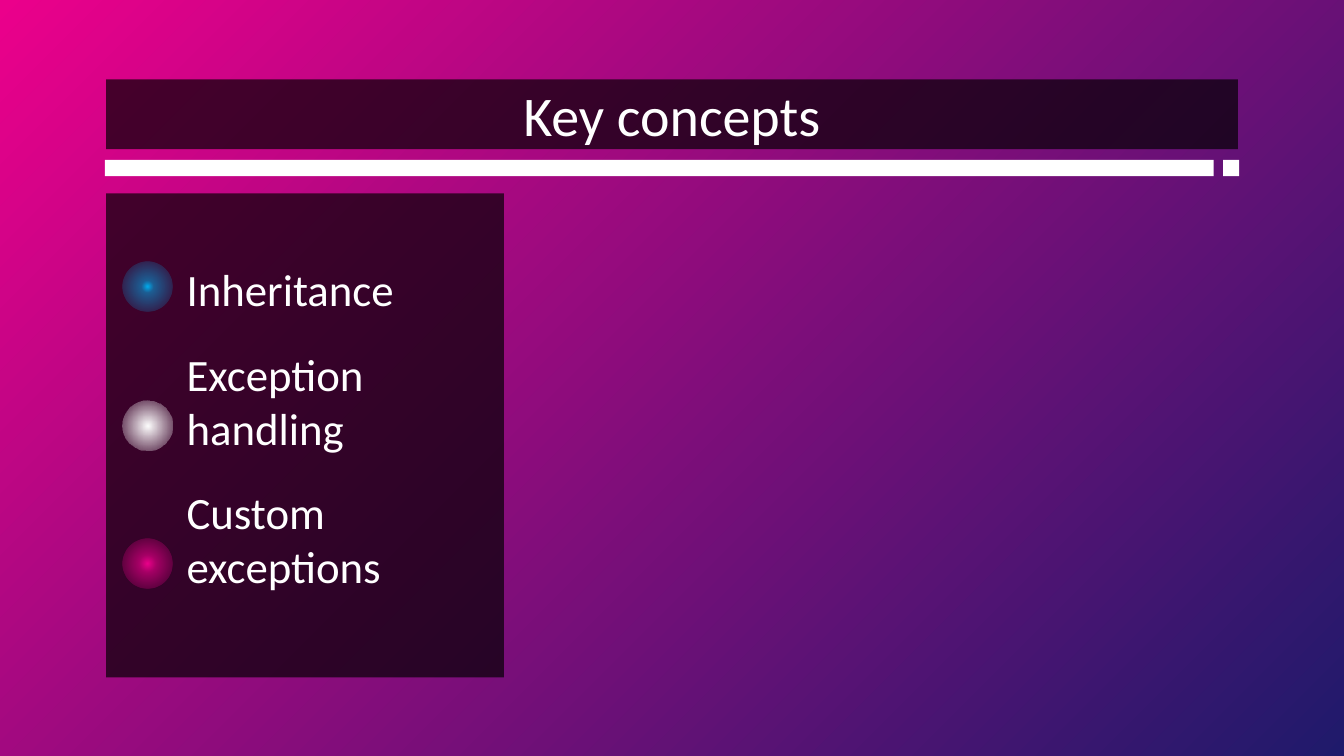
"""Build the "Key concepts" slide."""
from lxml import etree
from pptx import Presentation
from pptx.dml.color import RGBColor
from pptx.enum.shapes import MSO_SHAPE
from pptx.enum.text import MSO_ANCHOR, MSO_AUTO_SIZE, PP_ALIGN
from pptx.oxml.ns import qn
from pptx.util import Inches, Pt

RECTANGLE, OVAL = MSO_SHAPE.RECTANGLE, MSO_SHAPE.OVAL
MIDDLE, BOTTOM = MSO_ANCHOR.MIDDLE, MSO_ANCHOR.BOTTOM
LEFT, CENTER = PP_ALIGN.LEFT, PP_ALIGN.CENTER
FIXED_SIZE = MSO_AUTO_SIZE.NONE

WHITE, BLACK, PINK, BLUE, NAVY = "FFFFFF", "000000", "EB008B", "00ADEE", "1F1A6B"
SLIDE_WIDTH = 10
SLIDE_HEIGHT = SLIDE_WIDTH * 9 / 16
MARGIN = 0.79
CONTENT_WIDTH = SLIDE_WIDTH - 2 * MARGIN
FIRST_ROW, ROW_STEP = 1.95, 1.03
DOT_SIZE, LABEL_HEIGHT = 0.37, 0.47
BAR_TOP, BAR_HEIGHT = 1.19, 0.12

CONCEPTS = [
    ("Inheritance", 2.41, [(0, BLUE, 100), (17, BLUE, 54), (100, BLUE, 0)]),
    ("Exception handling", 2.7, [(0, WHITE, 100), (100, WHITE, 0)]),
    ("Custom exceptions", 2.56, [(0, PINK, 100), (24, PINK, 62), (100, PINK, 0)]),
]


def add_color(parent, color, opacity=100):
    """Append a colour with its opacity in percent."""
    node = etree.SubElement(parent, qn("a:srgbClr"), val=color)
    if opacity < 100:
        etree.SubElement(node, qn("a:alpha"), val=str(opacity * 1000))


def solid(color, opacity=100):
    """Return a solid fill element."""
    fill = etree.Element(qn("a:solidFill"))
    add_color(fill, color, opacity)
    return fill


def radial(stops, focus):
    """Return a circular gradient whose focus is left, top, right, bottom in percent."""
    fill = etree.Element(qn("a:gradFill"), rotWithShape="1")
    stop_list = etree.SubElement(fill, qn("a:gsLst"))
    for position, color, opacity in stops:
        stop = etree.SubElement(stop_list, qn("a:gs"), pos=str(position * 1000))
        add_color(stop, color, opacity)
    circle = etree.SubElement(fill, qn("a:path"), path="circle")
    edges = {side: str(share * 1000) for side, share in zip("ltrb", focus)}
    etree.SubElement(circle, qn("a:fillToRect"), edges)
    return fill


def paint(owner, element, fill):
    """Give a shape or background the fill element."""
    owner.fill.background()
    blank = next(element.iter(qn("a:noFill")))
    blank.getparent().replace(blank, fill)


def add_figure(shapes, kind, box, fill):
    """Add an unlined preset shape."""
    figure = shapes.add_shape(kind, *map(Inches, box))
    figure.shadow.inherit = False
    paint(figure, figure._element, fill)
    figure.line.fill.background()


def write(holder, words, size, anchor, align):
    """Set white text in a box with even insets."""
    frame = holder.text_frame
    frame.text = words
    frame.word_wrap = True
    frame.auto_size = FIXED_SIZE
    frame.vertical_anchor = anchor
    frame.margin_left = frame.margin_right = Inches(0.1)
    frame.margin_top = frame.margin_bottom = Inches(0.1)
    paragraph = frame.paragraphs[0]
    paragraph.alignment = align
    paragraph.font.name = "Calibri"
    paragraph.font.size = Pt(size)
    paragraph.font.color.rgb = RGBColor.from_string(WHITE)


def add_title(slide, words):
    """Place the title on its dark band."""
    title = slide.shapes.title
    title.left, title.top = Inches(MARGIN), Inches(0.59)
    title.width, title.height = Inches(CONTENT_WIDTH), Inches(0.52)
    paint(title, title._element, solid(BLACK, 68))
    write(title, words, 30, MIDDLE, CENTER)


def add_divider(slide):
    """Add the long bar and the small square that closes it."""
    divider = slide.shapes.add_group_shape()
    for left, width in [(0.78, 8.25), (9.1, BAR_HEIGHT)]:
        add_figure(divider.shapes, RECTANGLE, (left, BAR_TOP, width, BAR_HEIGHT), solid(WHITE))


def add_concept(slide, row, words, width, glow):
    """Add one glowing dot with its label."""
    top = FIRST_ROW + row * ROW_STEP
    dot_box = (0.91, top, DOT_SIZE, DOT_SIZE)
    add_figure(slide.shapes, OVAL, dot_box, radial(glow, (50, 50, 50, 50)))
    label_box = (1.29, top + 0.03, width, LABEL_HEIGHT)
    label = slide.shapes.add_textbox(*map(Inches, label_box))
    write(label, words, 24, BOTTOM, LEFT)


def main():
    """Build and save the slide."""
    deck = Presentation()
    deck.slide_width, deck.slide_height = Inches(SLIDE_WIDTH), Inches(SLIDE_HEIGHT)
    slide = deck.slides.add_slide(deck.slide_layouts[5])
    backdrop = radial([(0, PINK, 100), (100, NAVY, 100)], (0, 0, 100, 100))
    paint(slide.background, slide._element, backdrop)
    add_figure(slide.shapes, RECTANGLE, (MARGIN, 1.44, 2.96, 3.6), solid(BLACK, 68))
    add_title(slide, "Key concepts")
    add_divider(slide)
    for row, concept in enumerate(CONCEPTS):
        add_concept(slide, row, *concept)
    deck.save("out.pptx")


if __name__ == "__main__":
    main()
